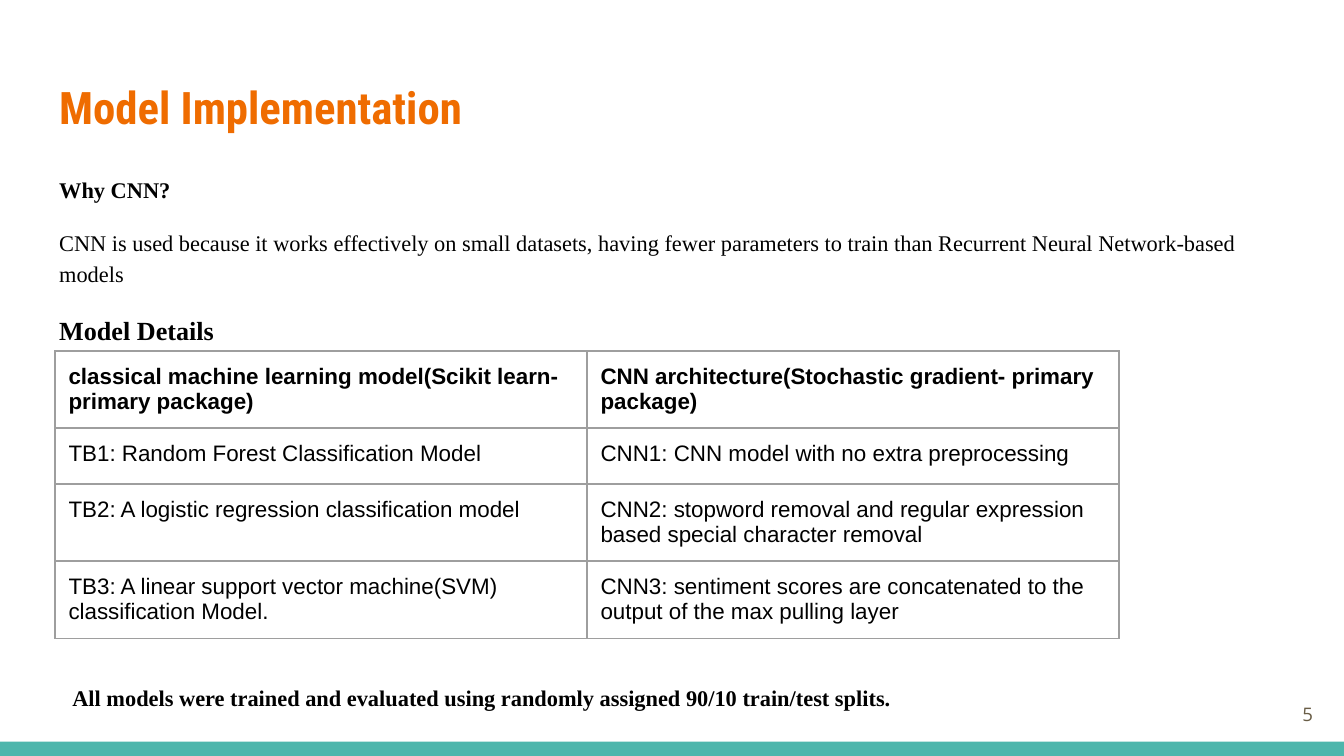
"""Build the Model Implementation slide with its table of models."""
from lxml import etree
from pptx import Presentation
from pptx.dml.color import RGBColor as RGB
from pptx.enum.shapes import MSO_SHAPE as SHAPE
from pptx.enum.text import MSO_ANCHOR as ANCHOR, MSO_AUTO_SIZE as AUTO, PP_ALIGN as ALIGN
from pptx.oxml import parse_xml
from pptx.oxml.ns import nsdecls, qn
from pptx.util import Pt

ORANGE = RGB(0xEF, 0x6C, 0x00)
BLACK = RGB(0x00, 0x00, 0x00)
TEAL = RGB(0x4D, 0xB6, 0xAC)
BROWN = RGB(0x69, 0x5D, 0x46)
GREY = RGB(0x9E, 0x9E, 0x9E)

SERIF = {"name": "Times New Roman", "size": Pt(12), "bold": False}
SANS = {"name": "Arial", "size": Pt(12), "bold": False}
BOLD = {"bold": True}
PAD = Pt(7.2)


def write(par, text, font, color=BLACK, **form):
    run = par.add_run()
    run.text = text
    for key, val in font.items():
        setattr(run.font, key, val)
    run.font.color.rgb = color
    for key, val in form.items():
        setattr(par, key, val)


def place(box, left, top, width, height, **form):
    box.left, box.top, box.width, box.height = map(Pt, (left, top, width, height))
    frame = box.text_frame
    base = {"word_wrap": True, "auto_size": AUTO.NONE, "vertical_anchor": ANCHOR.TOP}
    for side in ("left", "top", "right", "bottom"):
        base["margin_" + side] = PAD
    for key, val in (base | form).items():
        setattr(frame, key, val)
    return frame


deck = Presentation()
deck.slide_width, deck.slide_height = Pt(720), Pt(405)
slide = deck.slides.add_slide(deck.slide_layouts[1])
shapes = slide.shapes

bar = shapes.add_shape(SHAPE.RECTANGLE, Pt(0), Pt(397.3), Pt(720), Pt(7.7))
bar.shadow.inherit = False
bar.fill.solid()
bar.fill.fore_color.rgb = TEAL
bar.line.fill.background()

frame = place(shapes.title, 24.5, 35.3, 515.5, 24.5)
head = {"name": "Roboto Condensed", "size": Pt(24), "bold": True}
write(frame.paragraphs[0], "Model Implementation", head, ORANGE, alignment=ALIGN.LEFT)

frame = place(slide.placeholders[1], 24.5, 85, 671, 275)
body = [
    ("Why CNN?", BOLD, 0),
    ("CNN is used because it works effectively on small datasets, having fewer "
     "parameters to train than Recurrent Neural Network-based models", {}, 12),
    ("Model Details", {"size": Pt(14), "bold": True}, 12),
]
for num, (text, font, gap) in enumerate(body):
    par = frame.add_paragraph() if num else frame.paragraphs[0]
    write(par, text, SERIF | font, line_spacing=1.15, space_before=Pt(gap))
    props = par._p.get_or_add_pPr()
    props.set("marL", "0")
    props.set("indent", "0")
    etree.SubElement(props, qn("a:buNone"))

rows = [
    ("classical machine learning model(Scikit learn-primary package)",
     "CNN architecture(Stochastic gradient- primary package)"),
    ("TB1: Random Forest Classification Model",
     "CNN1: CNN model with no extra preprocessing"),
    ("TB2: A logistic regression classification model",
     "CNN2: stopword removal and regular expression based special character removal"),
    ("TB3: A linear support vector machine(SVM) classification Model.",
     "CNN3: sentiment scores are concatenated to the output of the max pulling layer"),
]
grid = shapes.add_table(len(rows), 2, Pt(29.5), Pt(188), Pt(570), Pt(120)).table
grid.first_row = grid.horz_banding = False
for row, texts in enumerate(rows):
    for col, text in enumerate(texts):
        cell = grid.cell(row, col)
        cell.margin_left = cell.margin_right = PAD
        cell.margin_top = cell.margin_bottom = PAD
        write(cell.text_frame.paragraphs[0], text, SANS | {"bold": row == 0})
        props = cell._tc.get_or_add_tcPr()
        for side in "LRTB":
            props.append(parse_xml(
                f'<a:ln{side} {nsdecls("a")} w="{Pt(0.75)}"><a:solidFill>'
                f'<a:srgbClr val="{GREY}"/></a:solidFill></a:ln{side}>'))
        cell.fill.background()

box = shapes.add_textbox(0, 0, 0, 0)
frame = place(box, 667.5, 367, 43, 31, vertical_anchor=ANCHOR.MIDDLE)
small = {"name": "Open Sans", "size": Pt(10)}
write(frame.paragraphs[0], "5", small, BROWN, alignment=ALIGN.RIGHT)

box = shapes.add_textbox(0, 0, 0, 0)
frame = place(box, 31.7, 357, 570, 29, auto_size=AUTO.SHAPE_TO_FIT_TEXT)
write(frame.paragraphs[0],
      "All models were trained and evaluated using randomly assigned 90/10 train/test splits.",
      SERIF | BOLD, line_spacing=1.15, space_after=Pt(12))

deck.save("out.pptx")
